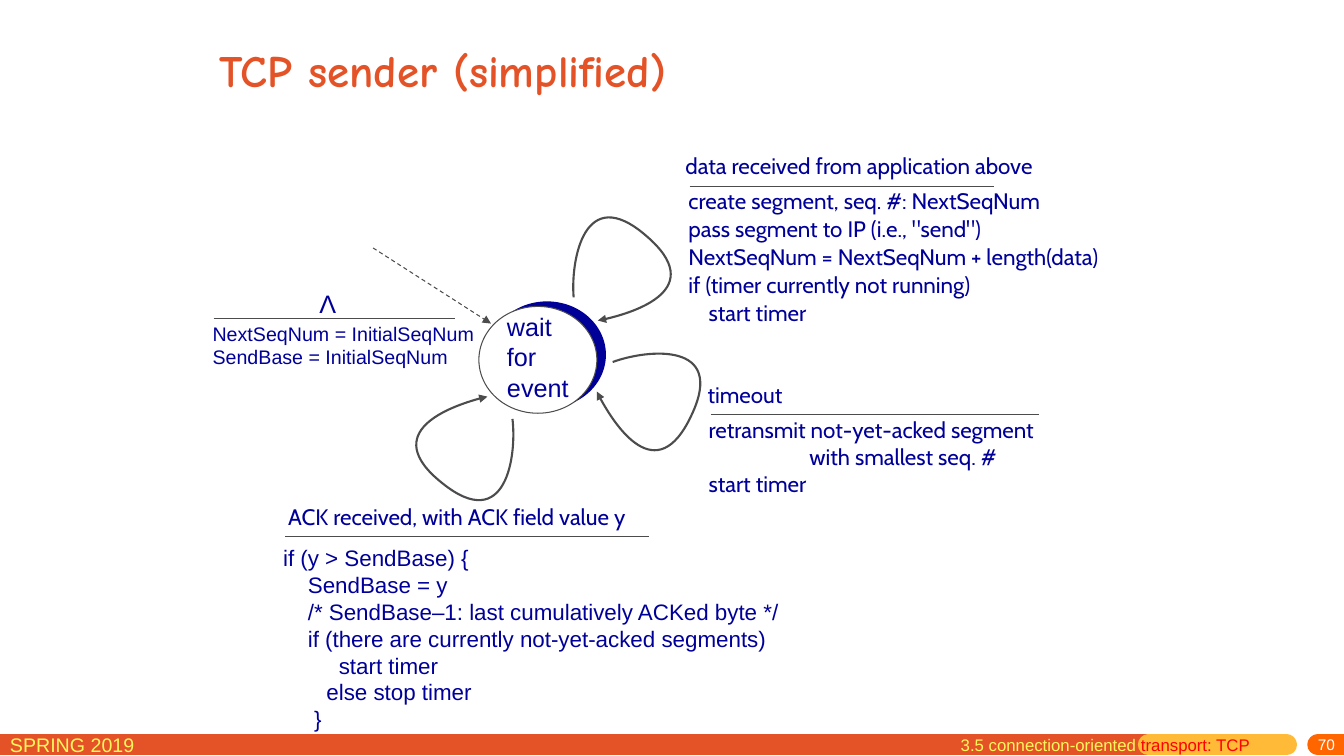
from lxml import etree
from pptx import Presentation
from pptx.dml.color import RGBColor
from pptx.enum.dml import MSO_LINE
from pptx.enum.shapes import MSO_CONNECTOR, MSO_SHAPE
from pptx.enum.text import MSO_ANCHOR, MSO_AUTO_SIZE, PP_ALIGN
from pptx.oxml.ns import qn
from pptx.util import Inches, Pt

STRAIGHT = MSO_CONNECTOR.STRAIGHT
OVAL = MSO_SHAPE.OVAL
DASH = MSO_LINE.DASH
MIDDLE = MSO_ANCHOR.MIDDLE
LEFT, RIGHT = PP_ALIGN.LEFT, PP_ALIGN.RIGHT
FIT_SHAPE, NO_FIT = MSO_AUTO_SIZE.SHAPE_TO_FIT_TEXT, MSO_AUTO_SIZE.NONE

NAVY, GRAY, WHITE = "000099", "4C4C4C", "FFFFFF"
ORANGE, AMBER, BRIGHT_ORANGE = "E45327", "FFBA37", "FF6600"
YELLOW, RED = "FFF65C", "FF0000"
LABEL_FONT, CODE_FONT, TITLE_FONT = "Cabin", "Arial", "Comic Neue"

# One loop outline: start, then control, control, end of each Bézier piece
LOOP_KNOTS = [(5.69, 2.95), (5.66, 2.59), (5.79, 1.8), (6.41, 2.34),
              (7.03, 2.87), (6.18, 3.14), (5.93, 3.18)]
# Left, top and rotation of each loop
LOOP_PLACES = [(5.66, 1.8, 0), (6.01, 3.41, 74.5), (3.76, 3.95, 177.9)]

DATA_ACTION = """create segment, seq. #: NextSeqNum
pass segment to IP (i.e., "send")
NextSeqNum = NextSeqNum + length(data)
if (timer currently not running)
    start timer"""

TIMEOUT_ACTION = "retransmit not-yet-acked segment\v\twith smallest seq. #\nstart timer"

ACK_ACTION = """if (y > SendBase) {
    SendBase = y
    /* SendBase–1: last cumulatively ACKed byte */
    if (there are currently not-yet-acked segments)
         start timer
       else stop timer
     }"""


def color(value):
    return RGBColor.from_string(value)


def format_run(run, size, font, fill, bold=False):
    run.font.size = Pt(size)
    run.font.name = font
    run.font.bold = bold
    run.font.color.rgb = color(fill)


def add_tab_stop(paragraph, position):
    tab_list = etree.SubElement(paragraph._p.get_or_add_pPr(), qn("a:tabLst"))
    etree.SubElement(tab_list, qn("a:tab"), pos=str(Inches(position)), algn="l")


def add_text(slide, box, text, *, size=16, font=LABEL_FONT, fill=NAVY,
             wrap=False, spacing=None, align=LEFT, fit=FIT_SHAPE, tab=None):
    shape = slide.shapes.add_textbox(*map(Inches, box))
    frame = shape.text_frame
    frame.word_wrap = wrap
    frame.auto_size = fit
    frame.text = text
    for paragraph in frame.paragraphs:
        if tab:
            add_tab_stop(paragraph, tab)
        paragraph.alignment = align
        if spacing:
            paragraph.line_spacing = spacing
        for run in paragraph.runs:
            format_run(run, size, font, fill)
    return shape


def style_line(line, stroke, width, arrow=False, round_cap=False):
    line.color.rgb = color(stroke)
    line.width = Pt(width)
    if round_cap:
        line._get_or_add_ln().set("cap", "rnd")
    if arrow:
        etree.SubElement(line._get_or_add_ln(), qn("a:tailEnd"), type="triangle")


def add_line(slide, start, end, *, stroke=GRAY, width=0.75, dash=None, **style):
    connector = slide.shapes.add_connector(STRAIGHT, *map(Inches, (*start, *end)))
    if dash:
        connector.line.dash_style = dash
    style_line(connector.line, stroke, width, **style)
    etree.SubElement(connector._element.spPr, qn("a:effectLst"))


def add_state_circle(slide, left, top, fill, outline=None):
    circle = slide.shapes.add_shape(OVAL, *map(Inches, (left, top, 1.17, 1.06)))
    circle.shadow.inherit = False
    circle.fill.solid()
    circle.fill.fore_color.rgb = color(fill)
    if outline:
        style_line(circle.line, outline, 0.75)
    else:
        circle.line.fill.background()


def curve_segments(shape):
    """Turn every three straight segments of the outline into one cubic curve."""
    outline = shape._element.spPr.find(".//" + qn("a:path"))
    segments = outline.findall(qn("a:lnTo"))
    for first in range(0, len(segments), 3):
        curve = etree.SubElement(outline, qn("a:cubicBezTo"))
        for segment in segments[first:first + 3]:
            curve.append(segment[0])
            outline.remove(segment)


def add_loop(slide, left, top, rotation):
    start, *others = [(Inches(x), Inches(y)) for x, y in LOOP_KNOTS]
    builder = slide.shapes.build_freeform(*start)
    builder.add_line_segments(others, close=False)
    loop = builder.convert_to_shape()
    curve_segments(loop)
    loop.left, loop.top, loop.rotation = Inches(left), Inches(top), rotation
    loop.shadow.inherit = False
    loop.fill.background()
    style_line(loop.line, GRAY, 1.5, arrow=True)


def add_transition(slide, event, event_box, rule, action, action_box, **action_format):
    """An event above a rule, and the action below it."""
    left, right, y = rule
    add_text(slide, action_box, action, **action_format)
    add_text(slide, event_box, event)
    add_line(slide, (left, y), (right, y))


def add_title(slide, text):
    title = slide.shapes.title
    title.left, title.top, title.width, title.height = map(Inches, (2.08, 0.2, 8.46, 0.98))
    frame = title.text_frame
    frame.text = text
    frame.vertical_anchor = MIDDLE
    frame.auto_size = NO_FIT
    frame.paragraphs[0].alignment = LEFT
    format_run(frame.paragraphs[0].runs[0], 32, TITLE_FONT, ORANGE, bold=True)


def add_footer(slide):
    for left, right, stroke in ((-0.18, 11.39, ORANGE), (11.39, 12.76, AMBER),
                                (13.07, 13.6, BRIGHT_ORANGE)):
        add_line(slide, (left, 7.39), (right, 7.39), stroke=stroke, width=15, round_cap=True)
    add_text(slide, (0, 7.22, 2.29, 0.31), "SPRING 2019", size=14, font=CODE_FONT,
             fill=YELLOW, wrap=True, fit=NO_FIT)
    number = add_text(slide, (10.75, 7.32, 2.59, 0.18), "70", size=11, font=CODE_FONT,
                      fill=WHITE, wrap=True, align=RIGHT, fit=NO_FIT)
    number.text_frame.vertical_anchor = MIDDLE
    number.text_frame.margin_top = 0
    section = add_text(slide, (9.43, 7.24, 3.11, 0.31), "3.5 connection-oriented ",
                       size=12, font=CODE_FONT, fill=YELLOW, wrap=True, fit=NO_FIT)
    run = section.text_frame.paragraphs[0].add_run()
    run.text = "transport: TCP"
    format_run(run, 12, CODE_FONT, RED)


def main():
    presentation = Presentation()
    presentation.slide_width, presentation.slide_height = Inches(13.33), Inches(7.5)
    slide = presentation.slides.add_slide(presentation.slide_layouts[5])
    add_title(slide, "TCP sender (simplified)")

    # The single state
    add_state_circle(slide, 4.84, 2.99, NAVY)
    add_state_circle(slide, 4.75, 3.04, WHITE, outline=GRAY)
    add_text(slide, (4.93, 3.04, 0.81, 1), "wait\nfor\nevent", size=18, font=CODE_FONT)

    # Initial transition
    add_line(slide, (3.7, 2.46), (4.87, 3.21), dash=DASH, arrow=True)
    add_text(slide, (2.01, 3.14, 2.81, 0.57),
             "NextSeqNum = InitialSeqNum\nSendBase = InitialSeqNum", size=14, font=CODE_FONT)
    add_line(slide, (2.12, 3.16), (4.51, 3.16))
    add_text(slide, (3.07, 2.81, 0.37, 0.4), "Λ", size=18, font=CODE_FONT)

    # Transitions back to the state
    add_transition(slide, "data received from application above", (6.7, 1.46, 3.83, 0.37),
                   (6.84, 9.86, 1.85), DATA_ACTION, (6.73, 1.79, 4.62, 1.5), spacing=1.05)
    add_transition(slide, "timeout", (6.92, 3.73, 0.95, 0.37), (7.05, 10.31, 4.11),
                   TIMEOUT_ACTION, (6.93, 4.08, 3.6, 0.9), wrap=True, tab=1)
    add_transition(slide, "ACK received, with ACK field value y", (2.76, 4.94, 3.82, 0.37),
                   (2.83, 6.44, 5.32), ACK_ACTION, (2.71, 5.35, 5.14, 1.97), font=CODE_FONT)
    for place in LOOP_PLACES:
        add_loop(slide, *place)

    add_footer(slide)
    presentation.save("out.pptx")


if __name__ == "__main__":
    main()
